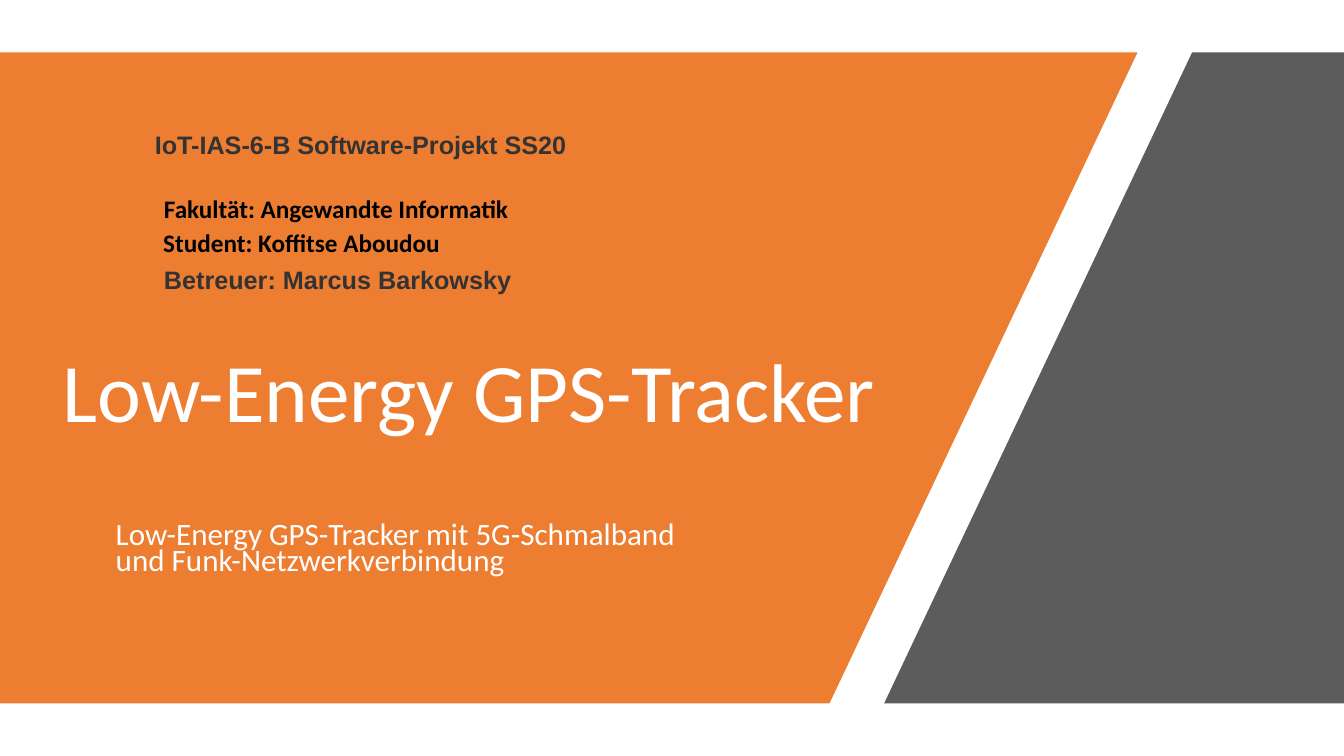
"""Build the title slide of the Low-Energy GPS-Tracker project."""
import dataclasses

import lxml.etree
import pptx
import pptx.dml.color
import pptx.enum.text
import pptx.oxml.ns
import pptx.util


@dataclasses.dataclass(frozen=True)
class Theme:
    orange: str = "ED7D31"
    gray: str = "404040"
    white: str = "FFFFFF"
    black: str = "000000"
    dark: str = "333333"
    body_font: str = "Calibri"
    label_font: str = "Arial"
    title_size: float = 59.4
    subtitle_size: float = 22.2
    label_size: float = 18


def write_text(shape, text, *, font, size, color, bold=False, spacing=1.0, wrap=True,
               anchor=pptx.enum.text.MSO_ANCHOR.TOP,
               auto_size=pptx.enum.text.MSO_AUTO_SIZE.NONE):
    frame = shape.text_frame
    frame.text = text
    frame.word_wrap = wrap
    frame.auto_size = auto_size
    frame.vertical_anchor = anchor
    paragraph = frame.paragraphs[0]
    paragraph.alignment = pptx.enum.text.PP_ALIGN.LEFT
    paragraph.line_spacing = spacing
    paragraph.space_before = pptx.util.Pt(0)
    run_font = paragraph.runs[0].font
    run_font.name = font
    run_font.size = pptx.util.Pt(size)
    run_font.bold = bold
    run_font.color.rgb = pptx.dml.color.RGBColor.from_string(color)


class SlideBuilder:
    def __init__(self, slide, theme):
        self.slide = slide
        self.theme = theme

    def panel(self, points, color, opacity=None):
        corners = [(pptx.util.Pt(x), pptx.util.Pt(y)) for x, y in points]
        builder = self.slide.shapes.build_freeform(*corners[0])
        builder.add_line_segments(corners[1:], close=True)
        shape = builder.convert_to_shape()
        shape.shadow.inherit = False
        shape.line.fill.background()
        shape.fill.solid()
        shape.fill.fore_color.rgb = pptx.dml.color.RGBColor.from_string(color)
        if opacity is not None:
            color_element = shape.element.spPr.find(".//" + pptx.oxml.ns.qn("a:srgbClr"))
            alpha = lxml.etree.SubElement(color_element, pptx.oxml.ns.qn("a:alpha"))
            alpha.set("val", str(opacity * 1000))

    def title(self, text, left, top, width, height):
        shape = self.slide.shapes.title
        shape.element.getparent().append(shape.element)
        shape.left, shape.top, shape.width, shape.height = map(
            pptx.util.Pt, (left, top, width, height))
        write_text(shape, text, font=self.theme.body_font, size=self.theme.title_size,
                   color=self.theme.white, spacing=0.9,
                   anchor=pptx.enum.text.MSO_ANCHOR.BOTTOM)

    def text_box(self, text, left, top, width, height, **text_format):
        shape = self.slide.shapes.add_textbox(
            *map(pptx.util.Pt, (left, top, width, height)))
        write_text(shape, text, **text_format)

    def label(self, text, left, top, width, font, color):
        self.text_box(text, left, top, width, 29, font=font, color=color,
                      size=self.theme.label_size, bold=True, wrap=False,
                      auto_size=pptx.enum.text.MSO_AUTO_SIZE.SHAPE_TO_FIT_TEXT)


def main():
    theme = Theme()
    presentation = pptx.Presentation()
    presentation.slide_width = pptx.util.Pt(960)
    presentation.slide_height = pptx.util.Pt(540)
    slide = presentation.slides.add_slide(presentation.slide_layouts[5])
    builder = SlideBuilder(slide, theme)

    band_top, band_bottom = 37.5, 502.5
    builder.panel([(851.5, band_top), (960, band_top), (960, band_bottom),
                   (631.5, band_bottom)], theme.gray, opacity=85)
    builder.panel([(0, band_top), (812.5, band_top), (592.5, band_bottom),
                   (0, band_bottom)], theme.orange)

    builder.title("Low-Energy GPS-Tracker", 37.5, 252, 606, 66)
    builder.text_box("Low-Energy GPS-Tracker mit 5G-Schmalband und Funk-Netzwerkverbindung",
                     75.6, 371, 420.5, 45.5, font=theme.body_font,
                     size=theme.subtitle_size, color=theme.white, spacing=0.7)

    labels = [
        ("IoT-IAS-6-B Software-Projekt SS20", 103.5, 88.5, 312, theme.label_font, theme.dark),
        ("Fakultät: Angewandte Informatik", 110, 134.5, 263, theme.body_font, theme.black),
        ("Student: Koffitse Aboudou", 109.5, 158.5, 214.5, theme.body_font, theme.black),
        ("Betreuer: Marcus Barkowsky", 110, 185, 265, theme.label_font, theme.dark),
    ]
    for label in labels:
        builder.label(*label)

    presentation.save("out.pptx")


if __name__ == "__main__":
    main()
